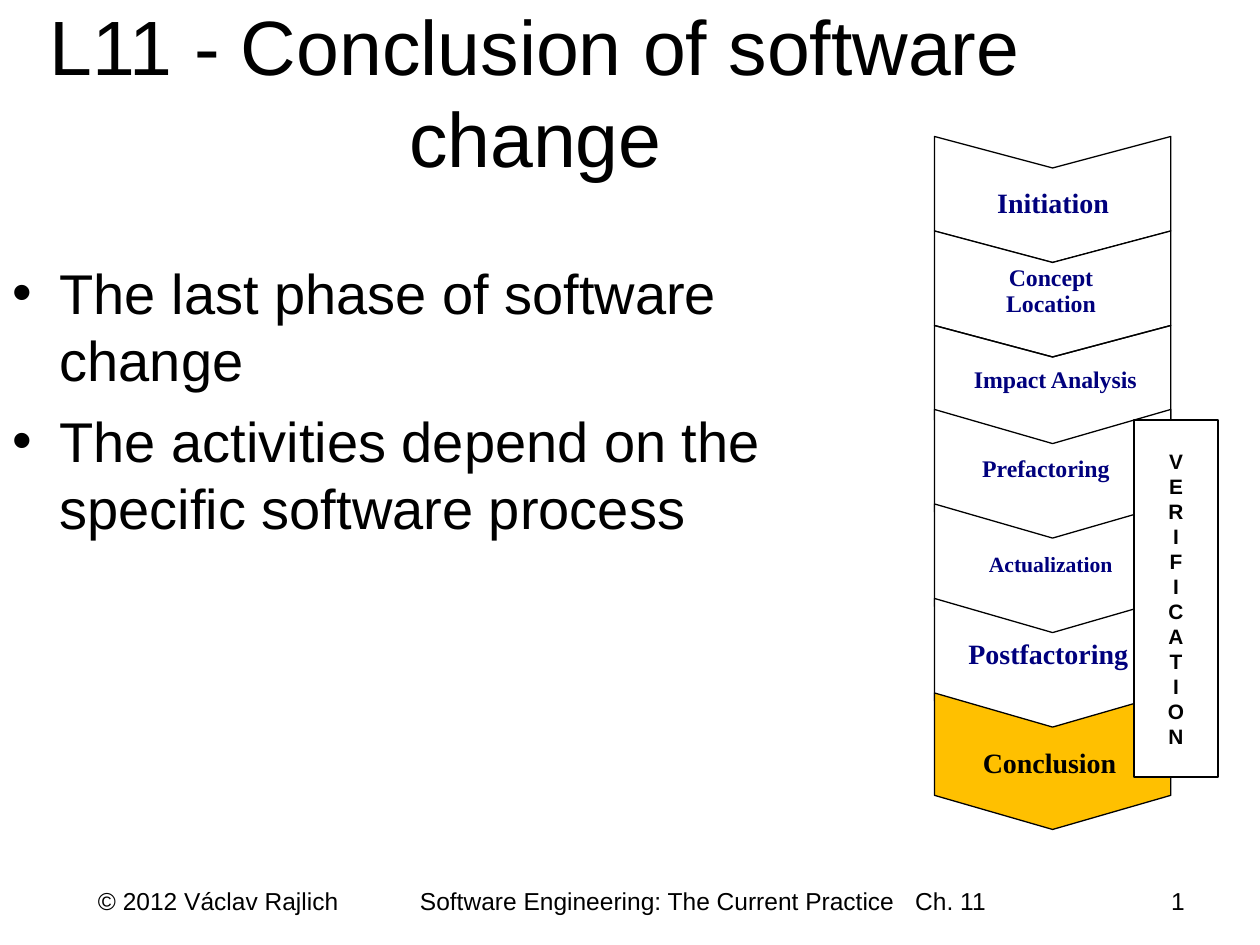
from lxml.etree import SubElement
from pptx import Presentation
from pptx.dml.color import RGBColor
from pptx.enum.shapes import MSO_SHAPE
from pptx.enum.text import MSO_ANCHOR, PP_ALIGN
from pptx.oxml.ns import qn
from pptx.util import Pt

# Content
TITLE = "L11 - Conclusion of software change"
BULLETS = [
    "The last phase of software change",
    "The activities depend on the specific software process",
]
FOOTER = "© 2012 Václav Rajlich\tSoftware Engineering: The Current Practice\tCh. 11"
FOOTER_TABS = [184, 467]
PAGE_NUMBER = "1"
VERIFICATION = "VERIFICATION"
BLACK, WHITE, NAVY, GOLD = "000000", "FFFFFF", "00007D", "FFC000"

# Phases: chevron top, side height, notch depth, fill
CHEVRONS = [
    (78, 54, 18, WHITE),
    (132, 54, 18, WHITE),
    (186, 54, 18, None),
    (234, 58.5, 19.5, WHITE),
    (288, 58.5, 19.5, WHITE),
    (342, 58.5, 19.5, WHITE),
    (396, 58.5, 19.5, GOLD),
]
CHEVRON_LEFT, CHEVRON_WIDTH = 534, 135

# Labels: text, box (left, top, width, height), size, line spacing, colour
LABELS = [
    ("Initiation", (552.25, 102.25, 99, 26.64), 16, 1, NAVY),
    ("Concept Location", (542.25, 148.3, 116.6, 41.8), 13.6, 0.9, NAVY),
    ("Impact Analysis", (540, 206.6, 126, 24.5), 13.6, 0.9, NAVY),
    ("Prefactoring", (542.25, 257.8, 110.9, 24.5), 13.6, 0.9, NAVY),
    ("Actualization", (545, 313.9, 110.9, 22.3), 12.4, 0.8, NAVY),
    ("Postfactoring", (534.25, 360, 129.6, 46), 16, 1, NAVY),
    ("Conclusion", (544.3, 422.6, 110.9, 26.64), 16, 1, BLACK),
]


def color(value):
    return RGBColor.from_string(value)


def write(shape, lines, size, align=PP_ALIGN.CENTER, font="Arial",
          text_color=BLACK, bold=False, spacing=None, anchor=MSO_ANCHOR.TOP):
    frame = shape.text_frame
    frame.word_wrap = True
    frame.vertical_anchor = anchor
    frame.text = "\n".join(lines)
    for paragraph in frame.paragraphs:
        paragraph.alignment = align
        if spacing:
            paragraph.line_spacing = spacing
        for run in paragraph.runs:
            run.font.name = font
            run.font.size = Pt(size)
            run.font.bold = bold
            run.font.color.rgb = color(text_color)
    return frame


def add_text(slide, box, lines, size, **style):
    shape = slide.shapes.add_textbox(*map(Pt, box))
    return write(shape, lines, size, **style)


def paint(shape, fill):
    shape.shadow.inherit = False
    if fill:
        shape.fill.solid()
        shape.fill.fore_color.rgb = color(fill)
    else:
        shape.fill.background()
    shape.line.color.rgb = color(BLACK)
    shape.line.width = Pt(0.75)


def add_chevron(slide, top, side, notch, fill):
    left, right = CHEVRON_LEFT, CHEVRON_LEFT + CHEVRON_WIDTH
    middle = (left + right) / 2
    points = [(right, top), (right, top + side), (middle, top + side + notch),
              (left, top + side), (left, top), (middle, top + notch)]
    start, *others = [(Pt(x), Pt(y)) for x, y in points]
    builder = slide.shapes.build_freeform(*start)
    builder.add_line_segments(others, close=True)
    paint(builder.convert_to_shape(), fill)


def add_bullet(paragraph, indent=27):
    paragraph.space_before = Pt(8)
    properties = paragraph._p.get_or_add_pPr()
    properties.set("marL", str(Pt(indent)))
    properties.set("indent", str(-Pt(indent)))
    SubElement(properties, qn("a:buFont"), typeface="Arial")
    SubElement(properties, qn("a:buChar"), char="•")


def add_tabs(paragraph, positions):
    tabs = SubElement(paragraph._p.get_or_add_pPr(), qn("a:tabLst"))
    for position in positions:
        SubElement(tabs, qn("a:tab"), pos=str(Pt(position)), algn="l")


def main():
    presentation = Presentation()
    presentation.slide_width, presentation.slide_height = Pt(720), Pt(540)
    slide = presentation.slides.add_slide(presentation.slide_layouts[6])

    # Footer and page number
    footer = add_text(slide, (42, 502.5, 540, 37.5), [FOOTER], 14, align=PP_ALIGN.LEFT)
    footer.margin_left = Pt(14)
    add_tabs(footer.paragraphs[0], FOOTER_TABS)
    add_text(slide, (516, 502.5, 168, 37.5), [PAGE_NUMBER], 14, align=PP_ALIGN.RIGHT)

    # Title and bullets
    add_text(slide, (0, 18, 612, 90), [TITLE], 44, anchor=MSO_ANCHOR.BOTTOM)
    body = add_text(slide, (0, 144, 500, 328), BULLETS, 32, align=PP_ALIGN.LEFT)
    for paragraph in body.paragraphs:
        add_bullet(paragraph)

    # Phases of software change
    for chevron in CHEVRONS:
        add_chevron(slide, *chevron)
    for text, box, size, spacing, text_color in LABELS:
        add_text(slide, box, [text], size, font="Times New Roman", bold=True,
                 spacing=spacing, text_color=text_color)

    # Verification bar
    bar = slide.shapes.add_shape(MSO_SHAPE.RECTANGLE, Pt(648), Pt(240), Pt(48), Pt(204))
    paint(bar, WHITE)
    write(bar, VERIFICATION, 11.9, bold=True, anchor=MSO_ANCHOR.MIDDLE)

    presentation.save("out.pptx")


if __name__ == "__main__":
    main()
